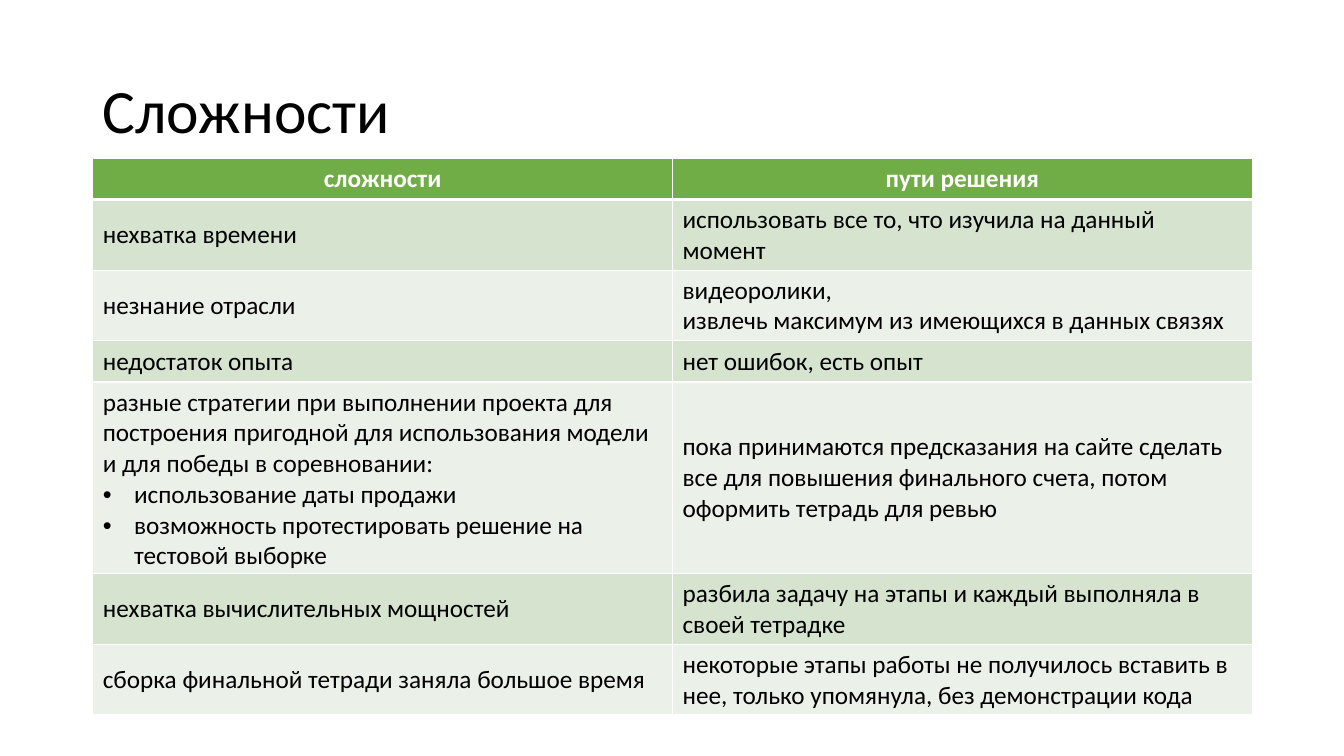
"""Build a slide with a two-column table of project difficulties and their solutions."""
from lxml import etree
from pptx import Presentation
from pptx.dml.color import RGBColor
from pptx.enum.text import MSO_ANCHOR, PP_ALIGN
from pptx.oxml.ns import qn
from pptx.util import Inches, Pt

MIDDLE = MSO_ANCHOR.MIDDLE
CENTER, LEFT = PP_ALIGN.CENTER, PP_ALIGN.LEFT
FONT = "Calibri"
BULLET = "•"
COLORS = {
    "white": "FFFFFF",
    "black": "000000",
    "header": "70AD47",
    "odd": "D5E3CF",
    "even": "EBF1E9",
}
ROWS = [
    (["сложности"], ["пути решения"]),
    (["нехватка времени"], ["использовать все то, что изучила на данный момент"]),
    (["незнание отрасли"],
     ["видеоролики,", "извлечь максимум из имеющихся в данных связях"]),
    (["недостаток опыта"], ["нет ошибок, есть опыт"]),
    (["разные стратегии при выполнении проекта для построения пригодной "
      "для использования модели и для победы в соревновании:",
      "•использование даты продажи",
      "•возможность протестировать решение на тестовой выборке"],
     ["пока принимаются предсказания на сайте сделать все для повышения "
      "финального счета, потом оформить тетрадь для ревью"]),
    (["нехватка вычислительных мощностей"],
     ["разбила задачу на этапы и каждый выполняла в своей тетрадке"]),
    (["сборка финальной тетради заняла большое время"],
     ["некоторые этапы работы не получилось вставить в нее, только упомянула, "
      "без демонстрации кода"]),
]


def write_line(para, text, size, color, bold=False):
    span = para.add_run()
    span.text = text
    span.font.color.rgb = RGBColor.from_string(COLORS[color])
    for name, value in {"name": FONT, "size": Pt(size), "bold": bold}.items():
        setattr(span.font, name, value)


def add_border(cell, side, width):
    properties = cell._tc.get_or_add_tcPr()
    line = etree.SubElement(properties, qn(f"a:ln{side}"), w=str(Pt(width)))
    fill = etree.SubElement(line, qn("a:solidFill"))
    etree.SubElement(fill, qn("a:srgbClr"), val=COLORS["white"])


deck = Presentation()
deck.slide_width, deck.slide_height = Inches(13.33), Inches(7.5)
page = deck.slides.add_slide(deck.slide_layouts[6])

title = page.shapes.add_textbox(Inches(0.92), Inches(0.4), Inches(11.5), Inches(1.45))
title.text_frame.word_wrap = True
title.text_frame.vertical_anchor = MIDDLE
title_para = title.text_frame.paragraphs[0]
title_para.line_spacing = 0.9
write_line(title_para, "Сложности", 44, "black")

row_height = Inches(0.41)
frame = page.shapes.add_table(len(ROWS), 2, Inches(0.92), Inches(1.57),
                              Inches(11.5), row_height * len(ROWS))
frame.height = Inches(5.51)

for row_index, row in enumerate(ROWS):
    is_header = row_index == 0
    fill_name = "header" if is_header else ("even", "odd")[row_index % 2]
    for column_index, lines in enumerate(row):
        cell = frame.table.cell(row_index, column_index)
        cell.vertical_anchor = MIDDLE
        for side in "LRTB":
            below_header = (row_index, side) in ((0, "B"), (1, "T"))
            add_border(cell, side, 3 if below_header else 1)
        cell.fill.solid()
        cell.fill.fore_color.rgb = RGBColor.from_string(COLORS[fill_name])
        for line_index, text in enumerate(lines):
            content = cell.text_frame
            para = content.add_paragraph() if line_index else content.paragraphs[0]
            para.alignment = CENTER if is_header else LEFT
            if text.startswith(BULLET):
                para_properties = para._p.get_or_add_pPr()
                para_properties.set("marL", str(Inches(0.31)))
                para_properties.set("indent", str(-Inches(0.31)))
                etree.SubElement(para_properties, qn("a:buFont"), typeface="Arial")
                etree.SubElement(para_properties, qn("a:buChar"), char=BULLET)
            write_line(para, text.removeprefix(BULLET), 18,
                       "white" if is_header else "black", is_header)

deck.save("out.pptx")
